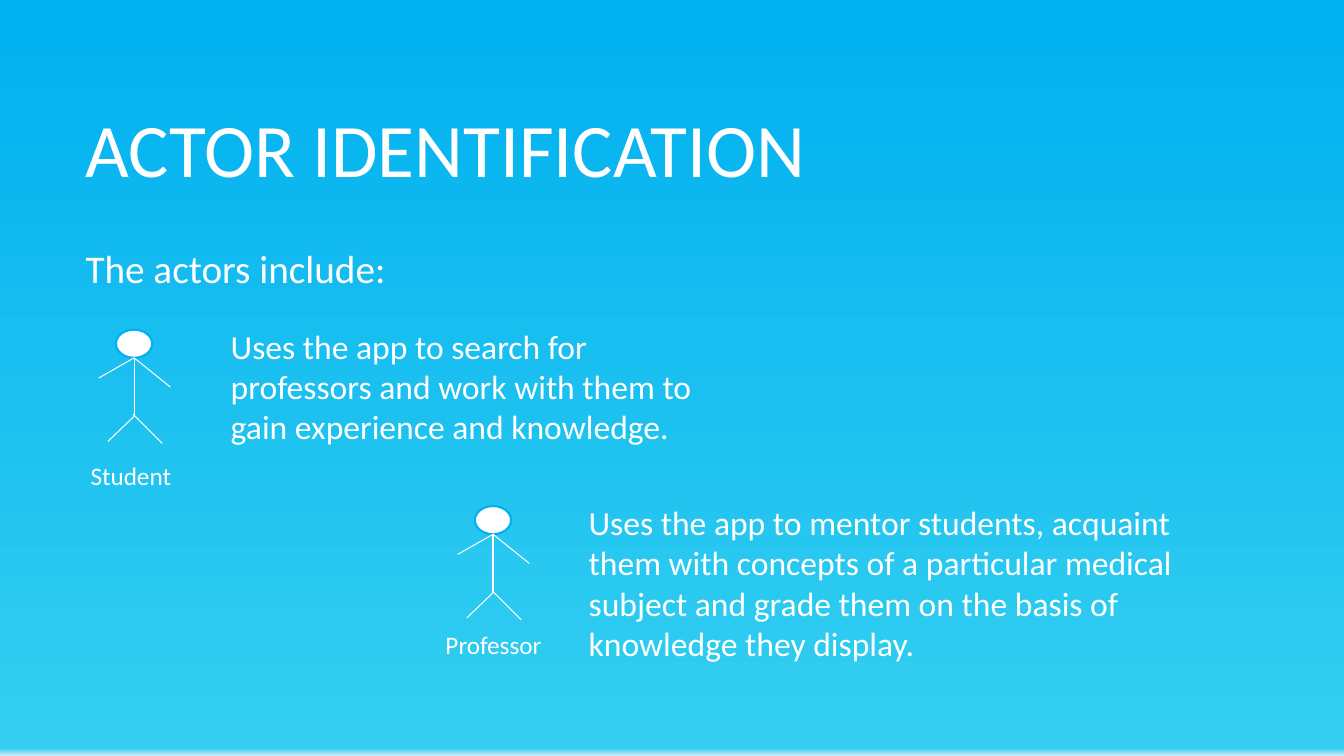
import copy

import pptx
import pptx.dml.color
import pptx.enum.shapes
import pptx.enum.text
import pptx.oxml.ns
import pptx.util
from pptx.util import Inches

WHITE = pptx.dml.color.RGBColor(0xFF, 0xFF, 0xFF)
SKY_BLUE = pptx.dml.color.RGBColor(0x00, 0xB0, 0xF0)
AQUA = pptx.dml.color.RGBColor(0x34, 0xCF, 0xF0)
PALE_BLUE = pptx.dml.color.RGBColor(0xD7, 0xEA, 0xF8)
PALE_GREY = pptx.dml.color.RGBColor(0xF2, 0xF2, 0xF2)

BACKGROUND_STOPS = [(0, SKY_BLUE), (0.99, AQUA), (1, PALE_BLUE), (1, PALE_GREY)]

# Figure geometry, measured from the neck
HEAD_WIDTH, HEAD_HEIGHT = 0.36, 0.28
LIMBS = [
    ((-0.35, 0.2), (0, 0)),
    ((0.36, 0.29), (0, 0)),
    ((0, 0), (0, 0.58)),
    ((-0.26, 0.83), (0, 0.58)),
    ((0.28, 0.85), (-0.01, 0.56)),
]

# Neck position, label and its box, description and its box
ACTORS = [
    ((1.33, 3.55), "Student", (0.8, 4.52, 1.05, 0.42),
     "Uses the app to search for professors and work with them to gain "
     "experience and knowledge.", (2.19, 3.18, 4.81, 1.31)),
    ((4.89, 5.3), "Professor", (4.32, 6.19, 1.39, 0.4),
     "Uses the app to mentor students, acquaint them with concepts of a "
     "particular medical subject and grade them on the basis of knowledge "
     "they display.", (5.74, 4.93, 6.41, 1.72)),
]


def paint_background(slide):
    fill = slide.background.fill
    fill.gradient()
    fill.gradient_angle = 270
    # Extend the default two stops to the number needed
    first_stop = slide.background._cSld.find(".//" + pptx.oxml.ns.qn("a:gs"))
    stop_list = first_stop.getparent()
    while len(stop_list) < len(BACKGROUND_STOPS):
        stop_list.append(copy.deepcopy(first_stop))
    for stop, (position, color) in zip(fill.gradient_stops, BACKGROUND_STOPS):
        stop.position = position
        stop.color.rgb = color


def add_text(slide, text, box, *, size, color=WHITE, font="Calibri",
             anchor=pptx.enum.text.MSO_ANCHOR.TOP):
    shape = slide.shapes.add_textbox(*map(Inches, box))
    frame = shape.text_frame
    frame.word_wrap = True
    frame.vertical_anchor = anchor
    run = frame.paragraphs[0].add_run()
    run.text = text
    run.font.size = pptx.util.Pt(size)
    run.font.name = font
    run.font.color.rgb = color


def add_head(slide, neck_x, neck_y):
    head = slide.shapes.add_shape(
        pptx.enum.shapes.MSO_SHAPE.OVAL,
        Inches(neck_x - HEAD_WIDTH / 2), Inches(neck_y - HEAD_HEIGHT),
        Inches(HEAD_WIDTH), Inches(HEAD_HEIGHT))
    head.shadow.inherit = False
    head.fill.solid()
    head.fill.fore_color.rgb = WHITE
    head.line.color.rgb = SKY_BLUE
    head.line.width = pptx.util.Pt(1.5)


def add_limb(slide, start, end):
    limb = slide.shapes.add_connector(
        pptx.enum.shapes.MSO_CONNECTOR.STRAIGHT,
        *map(Inches, (*start, *end)))
    limb.line.color.rgb = WHITE
    limb.line.width = pptx.util.Pt(0.75)
    properties = limb._element.spPr
    properties.append(pptx.oxml.xmlchemy.OxmlElement("a:effectLst"))


def add_stick_figure(slide, neck_x, neck_y):
    add_head(slide, neck_x, neck_y)
    for limb in LIMBS:
        start, end = [(neck_x + x, neck_y + y) for x, y in limb]
        add_limb(slide, start, end)


def main():
    presentation = pptx.Presentation()
    presentation.slide_width = Inches(13.33)
    presentation.slide_height = Inches(7.5)
    slide = presentation.slides.add_slide(presentation.slide_layouts[6])
    paint_background(slide)

    # Title and introduction
    add_text(slide, "ACTOR IDENTIFICATION", (0.75, 0.67, 11.08, 1.59),
             size=54, anchor=pptx.enum.text.MSO_ANCHOR.MIDDLE)
    add_text(slide, "The actors include:", (0.75, 2.37, 3.26, 1.51), size=28)

    # Actors
    for neck, label, label_box, description, description_box in ACTORS:
        add_stick_figure(slide, *neck)
        add_text(slide, label, label_box, size=18)
        add_text(slide, description, description_box, size=24)

    presentation.save("out.pptx")


if __name__ == "__main__":
    main()
